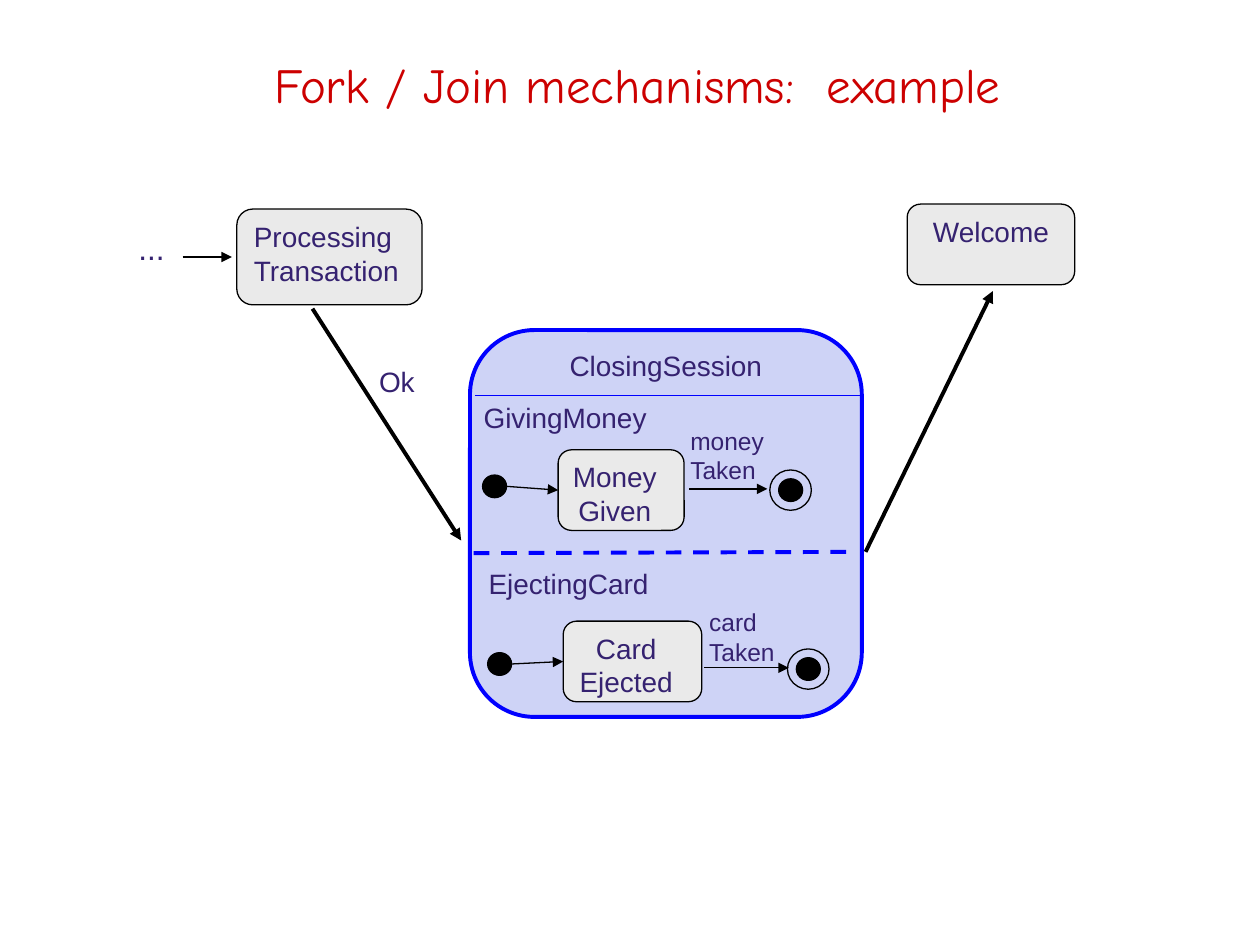
"""Build a state diagram slide showing a fork and join example."""
from lxml import etree
from pptx import Presentation, util as u
from pptx.dml.color import RGBColor
from pptx.enum import dml, shapes, text
from pptx.oxml.ns import qn

INK = {"title": "CC0000", "text": "352270", "line": "000000",
       "state": "EAEAEA", "frame": "CED3F6", "edge": "0000FF"}
HUE = {name: RGBColor.from_string(code) for name, code in INK.items()}
ROUND = shapes.MSO_SHAPE.ROUNDED_RECTANGLE
OVAL = shapes.MSO_SHAPE.OVAL
LEFT, MID = text.PP_ALIGN.LEFT, text.PP_ALIGN.CENTER

deck = Presentation()
deck.slide_width, deck.slide_height = u.Inches(10), u.Inches(7.5)
COL, ROW = deck.slide_width / 100, deck.slide_height / 75
slide = deck.slides.add_slide(deck.slide_layouts[5])


def draw(kind, box, words="", fill=None, edge="line", width=0.75,
         align=LEFT, size=16, home=slide):
    """Add a shape, or a text box when kind is None."""
    area = [int(n * step) for n, step in zip(box, (COL, ROW, COL, ROW))]
    if kind is None:
        item = home.shapes.add_textbox(*area)
    else:
        item = home.shapes.add_shape(kind, *area)
        item.shadow.inherit = False
        item.line.color.rgb = HUE[edge]
        item.line.width = u.Pt(width)
        if fill:
            item.fill.solid()
            item.fill.fore_color.rgb = HUE[fill]
        else:
            item.fill.background()
    if words:
        frame = item.text_frame
        frame.text = words
        frame.word_wrap = True
        frame.vertical_anchor = text.MSO_ANCHOR.TOP
        for para in frame.paragraphs:
            para.alignment = align
            for run in para.runs:
                run.font.name, run.font.size = "Arial", u.Pt(size)
                run.font.color.rgb = HUE["text"]
    return item


def link(x1, y1, x2, y2, width=0.75, edge="line", tip=True):
    """Add a straight line, with an arrowhead at its end if tip is set."""
    item = slide.shapes.add_connector(
        shapes.MSO_CONNECTOR.STRAIGHT,
        int(x1 * COL), int(y1 * ROW), int(x2 * COL), int(y2 * ROW))
    item.line.color.rgb = HUE[edge]
    item.line.width = u.Pt(width)
    if tip:
        etree.SubElement(item.line._get_or_add_ln(), qn("a:tailEnd"), type="triangle")
    etree.SubElement(item._element.spPr, qn("a:effectLst"))
    return item


title = slide.shapes.title
title.left, title.top = int(3.3 * COL), int(2.5 * ROW)
title.width, title.height = int(94.6 * COL), int(8.3 * ROW)
title.text_frame.text = "Fork / Join mechanisms:  example"
title.text_frame.vertical_anchor = text.MSO_ANCHOR.MIDDLE
head = title.text_frame.paragraphs[0]
head.alignment = MID
font = head.runs[0].font
font.name, font.size = "Comic Neue", u.Pt(28)
font.color.rgb = HUE["title"]

draw(ROUND, (18.8, 16.6, 14.7, 7.6), "Processing\nTransaction", "state")
draw(ROUND, (72, 16.2, 13.3, 6.4), "Welcome", "state", align=MID)
draw(None, (10, 17.7, 5.1, 3.8), "...", size=18)
draw(None, (29.1, 28.4, 6.8, 3.8), "Ok")
link(14.5, 20.4, 18.4, 20.4)
link(24.8, 24.5, 36.6, 42.9, 2.25)
link(68.7, 43.8, 78.8, 23.1, 2.25)

frame = draw(ROUND, (37.3, 26.2, 31.1, 30.7), "ClosingSession", "frame",
             "edge", 2.25, MID)
frame.text_frame.paragraphs[0].line_spacing = 0.8
link(37.7, 31.4, 68.5, 31.4, edge="edge", tip=False)
split = link(37.6, 43.9, 68, 43.8, 2.25, "edge", False)
split.line.dash_style = dml.MSO_LINE.DASH

REGIONS = [
    ("GivingMoney", (37.4, 31.3, 15.4, 3.6), "Money\nGiven", (44.3, 35.7, 10, 6.4),
     (38.3, 37.7), (54.7, 38.8, 60.9), (61.1, 37.3),
     "money\nTaken", (53.8, 33.3, 8.5, 5)),
    ("EjectingCard", (37.8, 44.5, 15, 3.6), "Card\nEjected", (44.7, 49.3, 11, 6.4),
     (38.7, 51.8), (55.9, 53, 62.6), (62.5, 51.5),
     "card\nTaken", (55.3, 47.7, 8.3, 5.3)),
]
DOT = (1.9, 1.8)
for name, spot, state, box, start, (x1, y, x2), (x, top), event, note in REGIONS:
    draw(OVAL, start + DOT, fill="line")
    node = draw(ROUND, box, state, "state", align=MID)
    node.text_frame.margin_left = u.Inches(0.05)
    node.text_frame.margin_right = u.Inches(0.15)
    enter = link(start[0] + DOT[0], start[1] + DOT[1] / 2,
                 box[0], box[1] + box[3] / 2)
    enter.end_connect(node, 1)
    link(x1, y, x2, y)
    final = slide.shapes.add_group_shape()
    draw(OVAL, (x + 0.7, top + 0.7) + DOT, fill="line", home=final)
    draw(OVAL, (x, top, 3.3, 3.2), home=final)
    draw(None, spot, name)
    draw(None, note, event, size=14)

deck.save("out.pptx")
